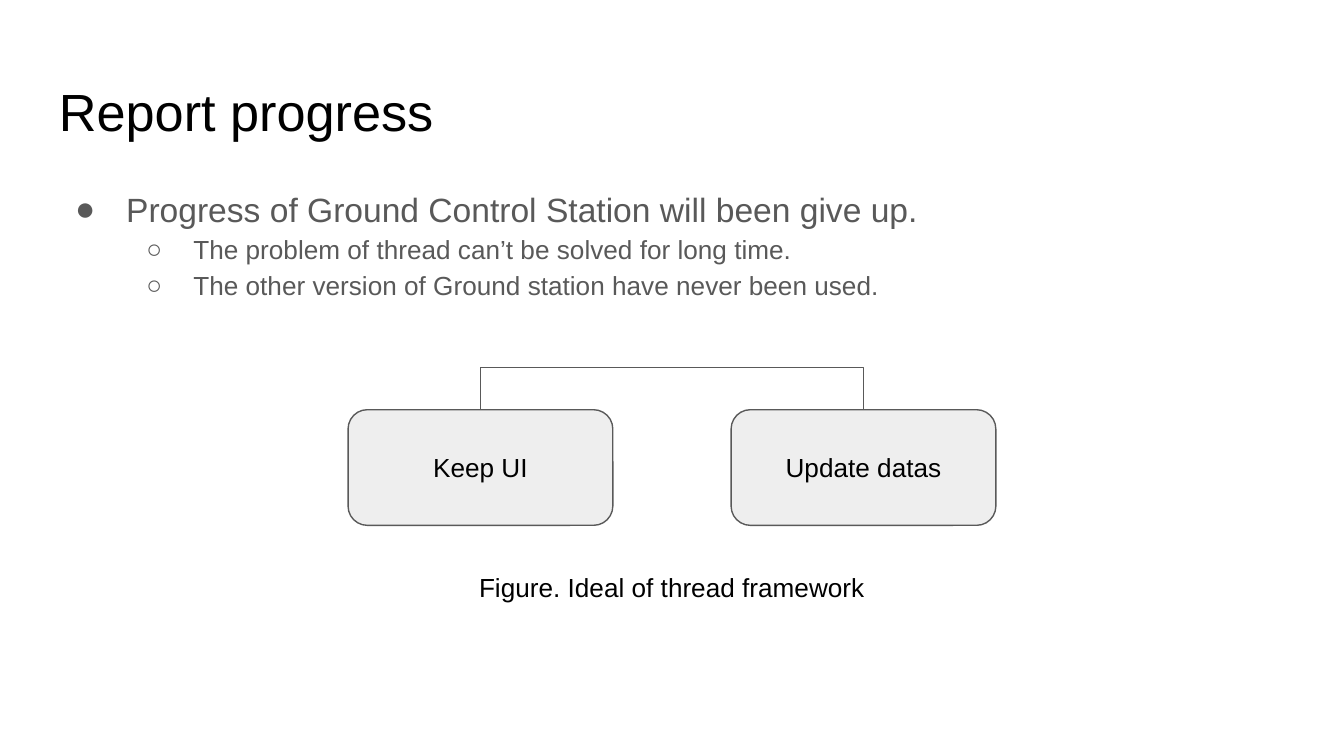
from dataclasses import dataclass

from lxml.etree import SubElement
from pptx import Presentation
from pptx.dml.color import RGBColor
from pptx.enum.shapes import MSO_CONNECTOR, MSO_SHAPE
from pptx.enum.text import MSO_ANCHOR, PP_ALIGN
from pptx.oxml.ns import qn
from pptx.util import Emu, Inches, Pt


@dataclass(frozen=True)
class Theme:
    font: str = "Arial"
    ink: RGBColor = RGBColor(0, 0, 0)
    grey: RGBColor = RGBColor(0x59, 0x59, 0x59)
    box_fill: RGBColor = RGBColor(0xEE, 0xEE, 0xEE)
    title_size: int = 28
    body_size: int = 18
    small_size: int = 14
    line_width: float = 0.75


theme = Theme()
presentation = Presentation()
presentation.slide_width, presentation.slide_height = Inches(10), Inches(5.625)
slide = presentation.slides.add_slide(presentation.slide_layouts[6])

# The slide is a grid of 100 columns by 100 rows.
column = presentation.slide_width / 100
row = presentation.slide_height / 100


def place(left, top, width, height):
    return [Emu(round(length)) for length in
            (left * column, top * row, width * column, height * row)]


def write(shape, text, size=theme.small_size, color=theme.ink, align=PP_ALIGN.LEFT,
          anchor=MSO_ANCHOR.TOP, bullet=None, level=0, hanging=0):
    """Add a paragraph, using the shape's first one while it is still empty."""
    frame = shape.text_frame
    frame.word_wrap = True
    frame.vertical_anchor = anchor
    frame.margin_left = frame.margin_right = Inches(0.1)
    frame.margin_top = frame.margin_bottom = Inches(0.1)
    paragraph = frame.paragraphs[0] if not frame.text else frame.add_paragraph()
    paragraph.alignment = align
    paragraph.level = level
    run = paragraph.add_run()
    run.text = text
    run.font.name, run.font.size = theme.font, Pt(size)
    run.font.color.rgb = color
    if bullet:
        paragraph.line_spacing = 1.15
        properties = paragraph._p.get_or_add_pPr()
        properties.set("marL", str(Inches(0.5 * (level + 1))))
        properties.set("indent", str(-Inches(hanging)))
        bullet_color = SubElement(properties, qn("a:buClr"))
        SubElement(bullet_color, qn("a:srgbClr"), val=str(color))
        SubElement(properties, qn("a:buFont"), typeface=theme.font)
        SubElement(properties, qn("a:buChar"), char=bullet)


# Title and bullets
title = slide.shapes.add_textbox(*place(3.4, 8.7, 93.2, 11.2))
write(title, "Report progress", size=theme.title_size)

body = slide.shapes.add_textbox(*place(3.4, 22.4, 93.2, 66.5))
write(body, "Progress of Ground Control Station will been give up.",
      size=theme.body_size, color=theme.grey, bullet="●", hanging=0.38)
for text in ("The problem of thread can’t be solved for long time.",
             "The other version of Ground station have never been used."):
    write(body, text, color=theme.grey, bullet="○", level=1, hanging=0.35)

# Thread boxes, mirrored about the middle of the slide
box_left, box_top, box_width, box_height = 25.9, 54.2, 19.7, 15.3
boxes = []
for left, text in ((box_left, "Keep UI"), (100 - box_left - box_width, "Update datas")):
    box = slide.shapes.add_shape(MSO_SHAPE.ROUNDED_RECTANGLE,
                                 *place(left, box_top, box_width, box_height))
    box.shadow.inherit = False
    box.fill.solid()
    box.fill.fore_color.rgb = theme.box_fill
    box.line.color.rgb = theme.grey
    box.line.width = Pt(theme.line_width)
    write(box, text, align=PP_ALIGN.CENTER, anchor=MSO_ANCHOR.MIDDLE)
    boxes.append(box)

caption = slide.shapes.add_textbox(*place(box_left, 73.8, 100 - 2 * box_left, 7.8))
write(caption, "Figure. Ideal of thread framework", align=PP_ALIGN.CENTER)

# Bracket over the boxes: an elbow turned on its side, its bend given as a
# multiple of its very small depth.
bracket = slide.shapes.add_connector(MSO_CONNECTOR.ELBOW, 0, 0, 0, 0)
bracket.begin_connect(boxes[0], 0)
bracket.end_connect(boxes[1], 0)
depth, rise = Emu(600), Inches(0.26)
span = boxes[1].left - boxes[0].left
bracket.width, bracket.height = depth, span
bracket.left = (presentation.slide_width - depth) // 2
bracket.top = boxes[0].top - span // 2
bracket.line.color.rgb = theme.grey
bracket.line.width = Pt(theme.line_width)
properties = bracket._element.spPr
properties.xfrm.set("rot", str(270 * 60000))
properties.xfrm.set("flipH", "1")
adjustments = properties.find(qn("a:prstGeom")).get_or_add_avLst()
SubElement(adjustments, qn("a:gd"), name="adj1", fmla=f"val {-rise * 100000 // depth}")
SubElement(properties, qn("a:effectLst"))

presentation.save("out.pptx")
